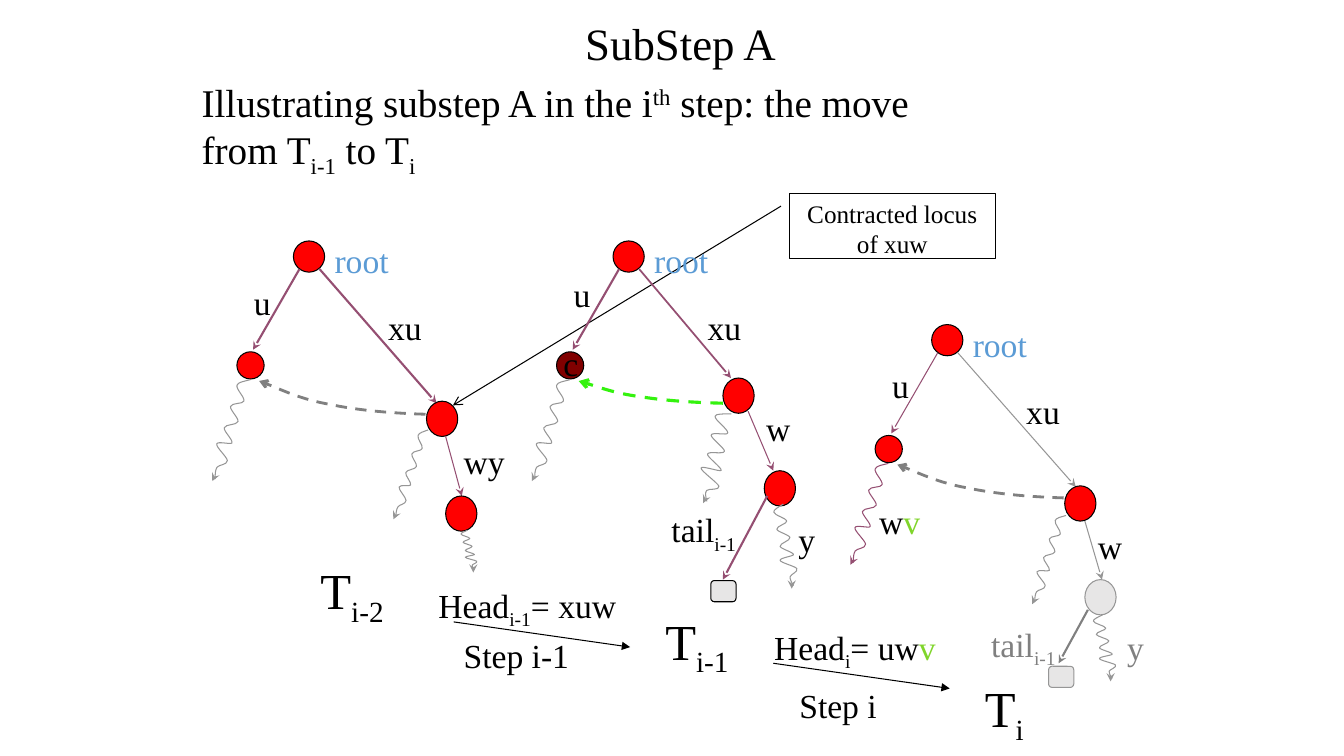
import math

from lxml import etree
from pptx import Presentation
from pptx import util as u
from pptx.dml.color import RGBColor
from pptx.enum import dml, shapes, text
from pptx.oxml.ns import qn

FONT = "Times New Roman"
BLACK, RED, MAROON, PLUM = "000000", "FF0000", "800000", "954F72"
GRAY, DARK_GRAY, PALE, ROOT_BLUE = "969696", "808080", "E7E6E6", "5B9BD5"
LEAF_GREEN, LINK_GREEN = "80D52B", "34F20E"
TILT = 24.9

# Bezier points as fractions of the curve's box
WAVE = [(.4, 0),
        (.2, .04), (0, .07), (.02, .1), (.04, .14), (.5, .17), (.53, .21),
        (.56, .24), (.12, .27), (.14, .31), (.16, .34), (.64, .38), (.66, .41),
        (.68, .45), (.25, .48), (.27, .52), (.29, .55), (.8, .59), (.8, .62),
        (.79, .64), (.25, .66), (.27, .69), (.29, .72), (.85, .76), (.93, .79),
        (1, .83), (.69, .86), (.67, .89), (.65, .92), (.72, .96), (.8, 1)]
LINK = [(1, 1), (.79, .97), (.59, .88), (.42, .7), (.25, .55), (.07, .12), (0, 0)]


def length(inches):
    return u.Cm(inches * 2.54)


def rgb(color):
    return RGBColor.from_string(color)


def style_line(shape, color, width, arrow=None):
    shape.line.color.rgb = rgb(color)
    shape.line.width = u.Pt(width)
    if arrow:
        etree.SubElement(shape.line._get_or_add_ln(), qn("a:tailEnd"), type=arrow)


# Text
def sub(words):
    return words, -25, None


def green(words):
    return words, 0, LEAF_GREEN


def write(frame, pieces, size, color=BLACK, inset=True):
    frame.word_wrap = True
    if not inset:
        frame.margin_left = frame.margin_right = frame.margin_top = frame.margin_bottom = 0
    paragraph = frame.paragraphs[0]
    for piece in pieces:
        words, baseline, run_color = (piece, 0, None) if isinstance(piece, str) else piece
        run = paragraph.add_run()
        run.text = words
        if baseline:
            run._r.get_or_add_rPr().set("baseline", str(baseline * 1000))
        if run_color:
            run.font.color.rgb = rgb(run_color)
    paragraph.font.name = FONT
    paragraph.font.size = u.Pt(size)
    paragraph.font.color.rgb = rgb(color)
    return paragraph


def add_label(slide, x, y, width, *pieces, size=24, color=BLACK, inset=True, height=.5):
    box = slide.shapes.add_textbox(*map(length, (x, y, width, height)))
    return write(box.text_frame, pieces, size, color, inset)


# Shapes and lines
def add_shape(slide, kind, x, y, width, height, fill=None, outline=BLACK, arrow=None):
    shape = slide.shapes.add_shape(kind, *map(length, (x, y, width, height)))
    shape.shadow.inherit = False
    if fill:
        shape.fill.solid()
        shape.fill.fore_color.rgb = rgb(fill)
    else:
        shape.fill.background()
    style_line(shape, outline, .75, arrow)
    return shape


def add_node(slide, x, y, width=.31, height=.35, fill=RED, outline=BLACK):
    add_shape(slide, shapes.MSO_SHAPE.OVAL, x, y, width, height, fill, outline)


def add_leaf(slide, x, y, outline=BLACK):
    add_shape(slide, shapes.MSO_SHAPE.ROUNDED_RECTANGLE, x, y, .25, .21, PALE, outline)


def add_arrow(slide, start, end, color=PLUM, width=.75, arrow="stealth"):
    line = slide.shapes.add_connector(
        shapes.MSO_CONNECTOR.STRAIGHT, *map(length, (*start, *end)))
    style_line(line, color, width, arrow)
    etree.SubElement(line._element.spPr, qn("a:effectLst"))


def add_curve(slide, fractions, x, y, width, height):
    points = [(length(x + fx * width), length(y + fy * height)) for fx, fy in fractions]
    builder = slide.shapes.build_freeform(*points[0])
    builder.add_line_segments(points[1:], close=False)
    curve = builder.convert_to_shape()
    # Every three line segments become one Bezier segment
    segments = list(curve._element.iter(qn("a:lnTo")))
    outline = segments[0].getparent()
    for first in range(0, len(segments), 3):
        bezier = etree.SubElement(outline, qn("a:cubicBezTo"))
        for segment in segments[first:first + 3]:
            bezier.append(segment[0])
            outline.remove(segment)
    curve.shadow.inherit = False
    curve.fill.background()
    return curve


def add_wave(slide, x, y, width, height, color=GRAY, tilt=TILT):
    wave = add_curve(slide, WAVE, x, y, width, height)
    wave.rotation = tilt
    style_line(wave, color, .75)
    # Arrowhead just past the lower end, turned with the wave
    angle = math.radians(tilt)
    across = .23 * width

    def turned(down):
        return (x + width / 2 + across * math.cos(angle) - down * math.sin(angle),
                y + height / 2 + across * math.sin(angle) + down * math.cos(angle))

    add_arrow(slide, turned(height / 2), turned(height / 2 + .03), color, 1.75)


def add_link(slide, x, y, width=1.65, height=.33, color=DARK_GRAY, weight=2):
    link = add_curve(slide, LINK, x, y, width, height)
    style_line(link, color, weight)
    link.line.dash_style = dml.MSO_LINE.DASH
    etree.SubElement(link.line._get_or_add_ln(), qn("a:tailEnd"), type="arrow")


def add_tree_top(slide, dx, dy, u_y, u_weight, xu_end, xu_color, xu_weight,
                 left_fill=RED, wave_color=GRAY):
    """Root, left child, both edges and the wave below the left child."""
    add_node(slide, 2.91 + dx, 2.39 + dy, height=.31)
    add_node(slide, 2.35 + dx, 3.49 + dy, .27, .27, left_fill)
    add_label(slide, 3.75 + dx, 3 + dy, .72, "xu")
    add_arrow(slide, (3.17 + dx, 2.67 + dy), xu_end, xu_color, xu_weight)
    add_label(slide, 3.22 + dx, 2.33 + dy, 1.03, "root", color=ROOT_BLUE)
    add_arrow(slide, (2.97 + dx, 2.67 + dy), (2.51 + dx, 3.47 + dy), width=u_weight)
    add_label(slide, 2.42 + dx, u_y, .44, "u")
    add_wave(slide, 2.16 + dx, 3.73 + dy, .25, 1.04, wave_color)


def add_tail(slide, start, end, label_x, label_y, color, edge):
    add_arrow(slide, start, end, edge, 1.5)
    add_label(slide, label_x, label_y, .72, "tail", sub("i-1"),
              color=color, inset=False, height=.4)


def main():
    presentation = Presentation()
    presentation.slide_width, presentation.slide_height = length(13.33), length(7.5)
    slide = presentation.slides.add_slide(presentation.slide_layouts[5])

    # Title and introduction
    title = slide.shapes.title
    title.left, title.top, title.width, title.height = map(length, (2.75, .17, 8, .5))
    title.text_frame.vertical_anchor = text.MSO_ANCHOR.MIDDLE
    write(title.text_frame, ["SubStep A"], 32, inset=False).alignment = text.PP_ALIGN.CENTER
    intro = add_label(slide, 2, .83, 7.8, "Illustrating substep A in the i", ("th", 30, None),
                      " step: the move from T", sub("i-1"), " to T", sub("i"),
                      size=28, inset=False, height=.83)
    intro.line_spacing = .9

    # Tree names and steps
    for x, y, index in ((3.08, 5.5, "i-2"), (6.5, 6, "i-1"), (9.67, 6.67, "i")):
        add_label(slide, x, y, 1, "T", sub(index), size=36, height=.7)
    for x, y in ((4.5, 6.17), (7.67, 6.58)):
        add_arrow(slide, (x, y), (x + 1.75, y + .25), BLACK, arrow="triangle")
    add_label(slide, 4.5, 6.25, 1.83, "Step i-1")
    add_label(slide, 7.83, 6.75, 1.83, "Step i")
    add_label(slide, 4.25, 5.75, 2.25, "Head", sub("i-1"), "= xuw")
    add_label(slide, 7.58, 6.17, 2.25, "Head", sub("i"), "= uw", green("v"))

    # Tree i-2
    add_tree_top(slide, 0, 0, 2.75, 1.5, (4.33, 4), PLUM, 1.5)
    add_node(slide, 4.23, 3.98)
    add_label(slide, 4.5, 4.33, .72, "wy")
    add_link(slide, 2.57, 3.78)
    add_arrow(slide, (4.42, 4.33), (4.58, 4.92))
    add_wave(slide, 3.98, 4.23, .18, .92)
    add_node(slide, 4.42, 4.92)
    add_wave(slide, 4.57, 5.26, .17, .39, tilt=0)

    # Callout
    callout = add_shape(slide, shapes.MSO_SHAPE.LINE_CALLOUT_2, 7.83, 1.92, 2.04, .64,
                        arrow="arrow")
    for index, value in enumerate((.196, -.041, .196, -.041, 3.283, -1.636)):
        callout.adjustments[index] = value
    callout.text_frame.vertical_anchor = text.MSO_ANCHOR.TOP
    write(callout.text_frame, ["Contracted locus of xuw"], 18).alignment = text.PP_ALIGN.CENTER

    # Tree i-1
    add_tree_top(slide, 3.17, 0, 2.67, 1.5, (7.25, 3.75), PLUM, 1.25, left_fill=MAROON)
    add_label(slide, 5.49, 3.35, .42, "c")
    add_node(slide, 7.17, 3.75)
    add_link(slide, 5.74, 3.78, 1.43, .22, LINK_GREEN, 2.25)
    add_arrow(slide, (7.42, 4.08), (7.67, 4.67))
    add_wave(slide, 6.92, 4.08, .36, .89)
    add_node(slide, 7.58, 4.67)
    add_wave(slide, 7.67, 5, .25, .81, tilt=0)
    add_label(slide, 7.5, 4, .72, "w")
    add_label(slide, 7.82, 5.1, .42, "y")
    add_tail(slide, (7.61, 4.92), (7.17, 5.75), 6.66, 5.05, BLACK, PLUM)
    add_leaf(slide, 7.05, 5.76)

    # Tree i
    add_tree_top(slide, 6.33, .83, 3.57, .75, (10.67, 4.83), GRAY, .75, wave_color=PLUM)
    add_node(slide, 10.56, 4.82)
    add_link(slide, 8.9, 4.61)
    add_arrow(slide, (10.76, 5.17), (10.93, 5.75), GRAY)
    add_wave(slide, 10.3, 5.08, .2, .91)
    add_node(slide, 10.76, 5.75, fill=PALE, outline=GRAY)
    add_wave(slide, 10.84, 6.1, .24, .63, tilt=0)
    add_label(slide, 8.62, 4.92, .72, "w", green("v"))
    add_label(slide, 10.79, 5.17, .72, "w")
    add_label(slide, 11.08, 6.17, .42, "y", color=DARK_GRAY)
    add_tail(slide, (10.79, 6.05), (10.5, 6.58), 9.83, 6.19, DARK_GRAY, DARK_GRAY)
    add_leaf(slide, 10.4, 6.61, GRAY)

    presentation.save("out.pptx")


if __name__ == "__main__":
    main()
